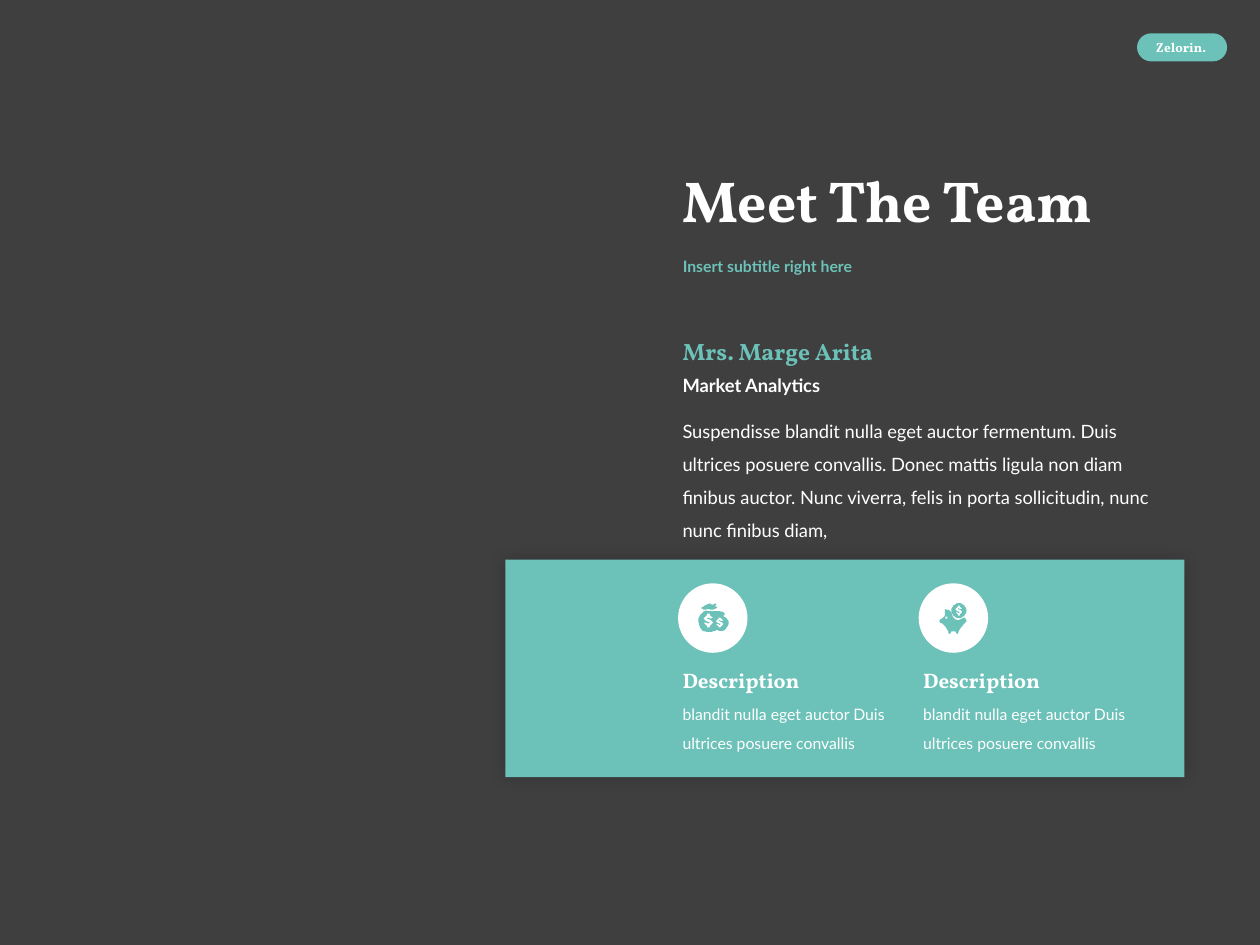
"""Build the "Meet The Team" slide with a profile and two described icons."""
from math import cos, sin, tau

from lxml.etree import SubElement
from pptx import Presentation
from pptx.dml.color import RGBColor
from pptx.enum.shapes import MSO_SHAPE as Shape
from pptx.enum.text import MSO_ANCHOR as Anchor, MSO_AUTO_SIZE as Fit, PP_ALIGN as Align
from pptx.oxml.ns import qn
from pptx.util import Cm, Pt

TEAL = RGBColor(0x6C, 0xC2, 0xB8)
WHITE = RGBColor(0xFF, 0xFF, 0xFF)
DARK = RGBColor(0x3F, 0x3F, 0x3F)
SERIF, SANS = "Vollkorn", "Lato"

LEFT, STEP = 13.51, 4.85
TITLE = ("Meet The Team", (LEFT, 2.79, 14.3, 2.62), SERIF, 33, WHITE, True, 0.9)
SUB = ("Insert subtitle right here", (LEFT, 4.9, 14.3, 0.97), SANS, 9, TEAL, True, 0.9)
BADGE = ("Zelorin.", (23.01, 0.66, 1.6, 0.58), SERIF, 7.5, WHITE, True, 1)
PROFILE = [
    ("Mrs. Marge Arita", (LEFT, 6.67, 4.62, 0.84), SERIF, 13.5, TEAL, True, 1),
    ("Market Analytics", (LEFT, 7.42, 3.86, 0.71), SANS, 10.5, WHITE, True, 1),
    ("Suspendisse blandit nulla eget auctor fermentum. Duis ultrices posuere "
     "convallis. Donec mattis ligula non diam finibus auctor. Nunc viverra, felis "
     "in porta sollicitudin, nunc nunc finibus diam,",
     (LEFT, 8.13, 10.36, 2.21), SANS, 10.5, WHITE, False, 1.5),
]

BAG = [(53, 56), (43, 67), (41, 78), (48, 94), (61, 98), (74, 96), (77, 94), (85, 96),
       (94, 94), (102, 81), (99, 72), (91, 66), (94, 63), (91, 58), (81, 56), (64, 56)]
TIE = [(53, 53), (61, 52), (71, 53), (79, 48), (75, 46), (77, 41), (69, 43), (65, 41),
       (58, 43), (52, 46), (47, 50)]
PIG = [(91, 69), (81, 74), (71, 70), (64, 56), (56, 53), (53, 53), (53, 64), (48, 70),
       (43, 73), (43, 79), (49, 82), (58, 94), (61, 101), (64, 101), (66, 97), (74, 97),
       (76, 101), (79, 101), (82, 94), (93, 80), (96, 76), (94, 71)]
SIGN = [(1, 4.5), (1, 5.5), (-1, 5.5), (-1, 4.5), (-4, 1.5), (-2, 1.5), (0, 2.5),
        (1, 1.5), (-2, 0.5), (-4, -1.5), (-1, -4.5), (-1, -5.5), (1, -5.5), (1, -4.5),
        (4, -2), (1.2, -1.5), (0, -2.5), (-1, -1.5), (2, -0.5), (4, 1.5)]


def curve(knots, parts=5):
    """Round a closed outline with a Catmull-Rom spline."""
    def blend(a, b, c, d, t):
        return b + t * (c - a + t * (2*a - 5*b + 4*c - d + t * (3*b - a - 3*c + d))) / 2

    size = len(knots)
    return [tuple(blend(*axis, k / parts)
                  for axis in zip(*(knots[(i + n) % size] for n in (-1, 0, 1, 2))))
            for i in range(size) for k in range(parts)]


def ring(x, y, r):
    return [(x + r * cos(tau * i / 32), y + r * sin(tau * i / 32)) for i in range(32)]


def sign(x, y, size):
    return [(x + size * a, y + size * b) for a, b in SIGN]


ITEMS = [
    ("Description", "blandit nulla eget auctor Duis ultrices posuere convallis",
     [[curve(BAG), sign(61, 75, 2.54), sign(84, 79, 1.9)], [curve(TIE)]]),
    ("Description", "blandit nulla eget auctor Duis ultrices posuere convallis",
     [[curve(PIG), ring(56, 69, 2.5)], [ring(81, 55, 15), sign(81, 55, 1.8)]]),
]


def place(shape, box):
    shape.left, shape.top, shape.width, shape.height = map(Cm, box)


def write(shape, words, box, face, size, color, bold, gap, align=Align.LEFT,
          anchor=Anchor.TOP):
    place(shape, box)
    frame = shape.text_frame
    frame.text = words
    frame.word_wrap, frame.auto_size = True, Fit.NONE
    frame.vertical_anchor = anchor
    para = frame.paragraphs[0]
    para.alignment, para.line_spacing, para.space_before = align, gap, Pt(0)
    font = para.font
    font.name, font.size, font.bold = face, Pt(size), bold
    font.color.rgb = color


def label(slide, spec, **look):
    write(slide.shapes.add_textbox(0, 0, 0, 0), *spec, **look)


def paint(shape, color):
    shape.shadow.inherit = False
    shape.fill.solid()
    shape.fill.fore_color.rgb = color
    shape.line.fill.background()
    return shape


def block(slide, kind, box, color):
    return paint(slide.shapes.add_shape(kind, *map(Cm, box)), color)


def glow(shape):
    effects = shape._element.spPr.find(qn("a:effectLst"))
    shade = SubElement(effects, qn("a:outerShdw"), blurRad=str(Pt(9)), dist="0",
                       algn="ctr", rotWithShape="0")
    tint = SubElement(shade, qn("a:srgbClr"), val="000000")
    SubElement(tint, qn("a:alpha"), val="20000")


def draw(slide, rings, x, y):
    first, *rest = rings
    pen = slide.shapes.build_freeform(*first[0], scale=Cm(0.01))
    pen.add_line_segments(first[1:])
    for hole in rest:
        pen.move_to(*hole[0])
        pen.add_line_segments(hole[1:])
    paint(pen.convert_to_shape(Cm(x), Cm(y)), TEAL)


def main():
    deck = Presentation()
    deck.slide_width, deck.slide_height = Cm(25.4), Cm(19.05)
    slide = deck.slides.add_slide(deck.slide_layouts[0])
    slide.background.fill.solid()
    slide.background.fill.fore_color.rgb = DARK

    pill = block(slide, Shape.ROUNDED_RECTANGLE, (22.94, 0.69, 1.78, 0.53), TEAL)
    pill.adjustments[0] = 0.5
    pill.line.color.rgb, pill.line.width = TEAL, Pt(1)
    label(slide, BADGE, align=Align.CENTER)

    for holder, spec in zip(slide.placeholders, (TITLE, SUB)):
        write(holder, *spec, anchor=Anchor.MIDDLE)
    glow(block(slide, Shape.RECTANGLE, (10.19, 11.28, 13.69, 4.39), TEAL))
    for spec in PROFILE:
        label(slide, spec)

    for i, (head, body, icon) in enumerate(ITEMS):
        x = LEFT + i * STEP
        disc = (x + 0.16, 11.76, 1.4, 1.4)
        block(slide, Shape.OVAL, disc, WHITE)
        label(slide, (body, (x, 13.9, 4.62, 1.35), SANS, 9, WHITE, False, 1.5))
        label(slide, (head, (x, 13.34, 3.71, 0.76), SERIF, 12, WHITE, True, 1))
        for rings in icon:
            draw(slide, rings, *disc[:2])

    deck.save("out.pptx")


if __name__ == "__main__":
    main()
